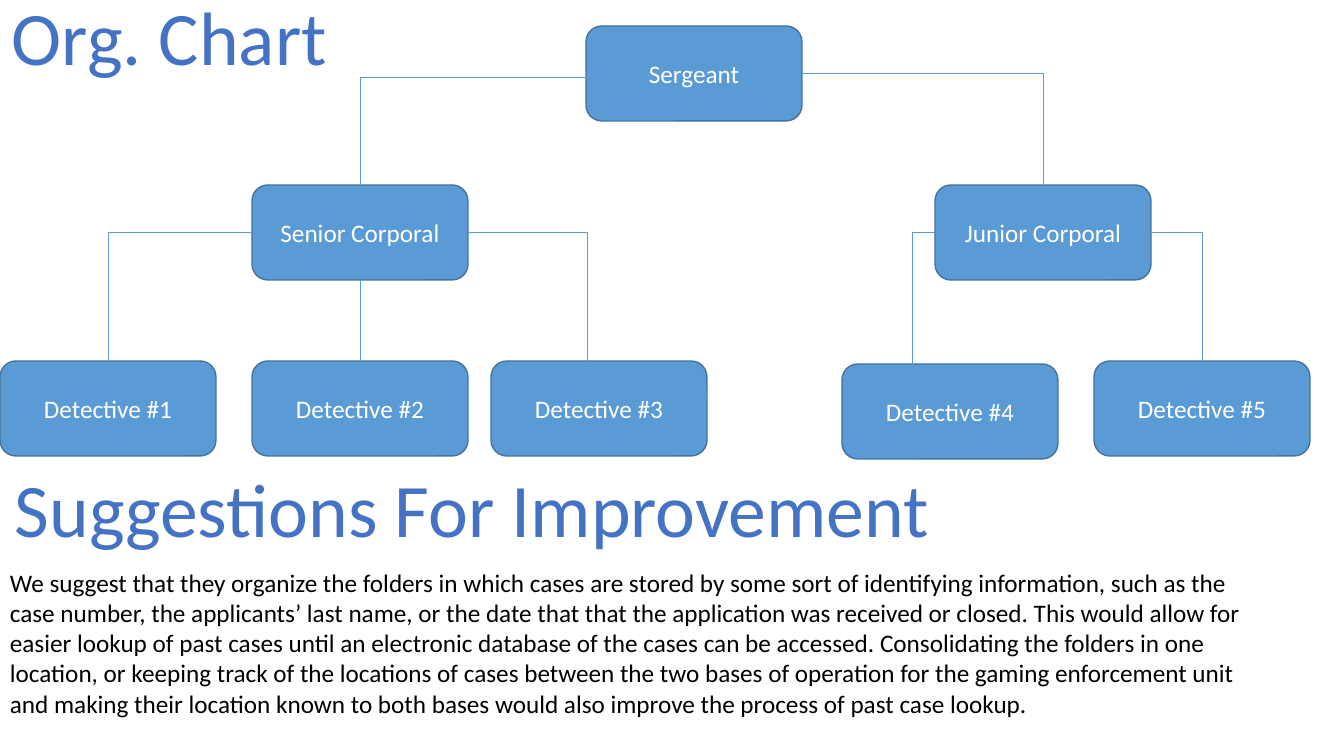
from typing import Any, NamedTuple

from lxml import etree
from pptx import Presentation
from pptx import util as u
from pptx.dml.color import RGBColor
from pptx.enum import shapes, text
from pptx.oxml.ns import qn

EMU_PER_PIXEL = 914400 / 100.8
COLORS = {"box": "5B9BD5", "edge": "43739E", "label": "FFFFFF",
          "heading": "4472C4", "body": "000000"}
BOX_WIDTH, BOX_HEIGHT = 216, 95
RANK_Y, DETECTIVE_Y = 185, 361


class Post(NamedTuple):
    """One position in the chart, placed by its top left corner."""
    title: str
    left: int
    top: int

    @property
    def right(self) -> int:
        return self.left + BOX_WIDTH

    @property
    def center(self) -> int:
        return self.left + BOX_WIDTH // 2

    @property
    def middle(self) -> int:
        return self.top + BOX_HEIGHT // 2

    @property
    def bottom(self) -> int:
        return self.top + BOX_HEIGHT


class Report(NamedTuple):
    """A reporting line; it leaves sideways and turns once by default."""
    x1: int
    y1: int
    x2: int
    y2: int
    preset: str = "bentConnector2"


def px(length: float) -> u.Emu:
    """Turn pixels into EMU."""
    return u.Emu(round(length * EMU_PER_PIXEL))


def rgb(name: str) -> RGBColor:
    """Look up a colour by its role."""
    return RGBColor.from_string(COLORS[name])


def write(frame: Any, words: str, *, color: str, size: int = 18,
          centered: bool = True, wrap: bool = True,
          anchor: Any = text.MSO_ANCHOR.TOP) -> None:
    """Put one formatted paragraph into a text frame."""
    frame.word_wrap = wrap
    frame.vertical_anchor = anchor
    paragraph = frame.paragraphs[0]
    paragraph.alignment = text.PP_ALIGN.CENTER if centered else text.PP_ALIGN.LEFT
    run = paragraph.add_run()
    run.text = words
    run.font.name = "Calibri"
    run.font.size = u.Pt(size)
    run.font.color.rgb = rgb(color)


def draw_post(slide: Any, post: Post) -> None:
    """Draw the rounded box of one position."""
    box = slide.shapes.add_shape(
        shapes.MSO_SHAPE.ROUNDED_RECTANGLE,
        px(post.left), px(post.top), px(BOX_WIDTH), px(BOX_HEIGHT))
    box.shadow.inherit = False
    box.fill.solid()
    box.fill.fore_color.rgb = rgb("box")
    box.line.color.rgb = rgb("edge")
    box.line.width = u.Pt(1)
    write(box.text_frame, post.title, color="label", anchor=text.MSO_ANCHOR.MIDDLE)


def draw_report(slide: Any, report: Report) -> None:
    """Draw one reporting line with its preset route."""
    line = slide.shapes.add_connector(
        shapes.MSO_CONNECTOR.ELBOW,
        px(report.x1), px(report.y1), px(report.x2), px(report.y2))
    line.line.color.rgb = rgb("box")
    line.line.width = u.Pt(0.5)
    properties = line._element.spPr
    properties.find(qn("a:prstGeom")).set("prst", report.preset)
    etree.SubElement(properties, qn("a:effectLst"))


def draw_text(slide: Any, words: str, left: int, top: int,
              width: int, height: int, **style: Any) -> None:
    """Add a text box with the given style."""
    area = slide.shapes.add_textbox(px(left), px(top), px(width), px(height))
    write(area.text_frame, words, **style)


sergeant = Post("Sergeant", 586, 26)
senior = Post("Senior Corporal", 252, RANK_Y)
junior = Post("Junior Corporal", 935, RANK_Y)
first = Post("Detective #1", 0, DETECTIVE_Y)
second = Post("Detective #2", 252, DETECTIVE_Y)
third = Post("Detective #3", 491, DETECTIVE_Y)
fourth = Post("Detective #4", 842, 364)
fifth = Post("Detective #5", 1094, DETECTIVE_Y)

posts = [sergeant, senior, junior, third, second, first, fourth, fifth]
reports = [
    Report(sergeant.left + 6, 77, senior.center, senior.top),
    Report(senior.left, senior.middle, first.center, first.top),
    Report(senior.center, senior.bottom, second.center, second.top, "line"),
    Report(senior.right, senior.middle, third.right, 394, "bentConnector3"),
    Report(junior.left, junior.middle, 912, 394),
    Report(junior.right, junior.middle, fifth.center, fifth.top),
    Report(sergeant.right, sergeant.middle, junior.center, junior.top),
]
suggestion = (
    "We suggest that they organize the folders in which cases are stored by some "
    "sort of identifying information, such as the case number, the applicants’ last "
    "name, or the date that that the application was received or closed. This would "
    "allow for easier lookup of past cases until an electronic database of the cases "
    "can be accessed. Consolidating the folders in one location, or keeping track of "
    "the locations of cases between the two bases of operation for the gaming "
    "enforcement unit and making their location known to both bases would also "
    "improve the process of past case lookup.")

deck = Presentation()
deck.slide_width, deck.slide_height = px(1344), px(756)
page = deck.slides.add_slide(deck.slide_layouts[6])
for post in posts:
    draw_post(page, post)
for report in reports:
    draw_report(page, report)
heading = {"color": "heading", "size": 54, "wrap": False}
draw_text(page, "Suggestions For Improvement", 0, 457, 944, 102, **heading)
draw_text(page, suggestion, 0, 562, 1272, 163, color="body", centered=False)
draw_text(page, "Org. Chart", 0, -15, 339, 102, **heading)
deck.save("out.pptx")
